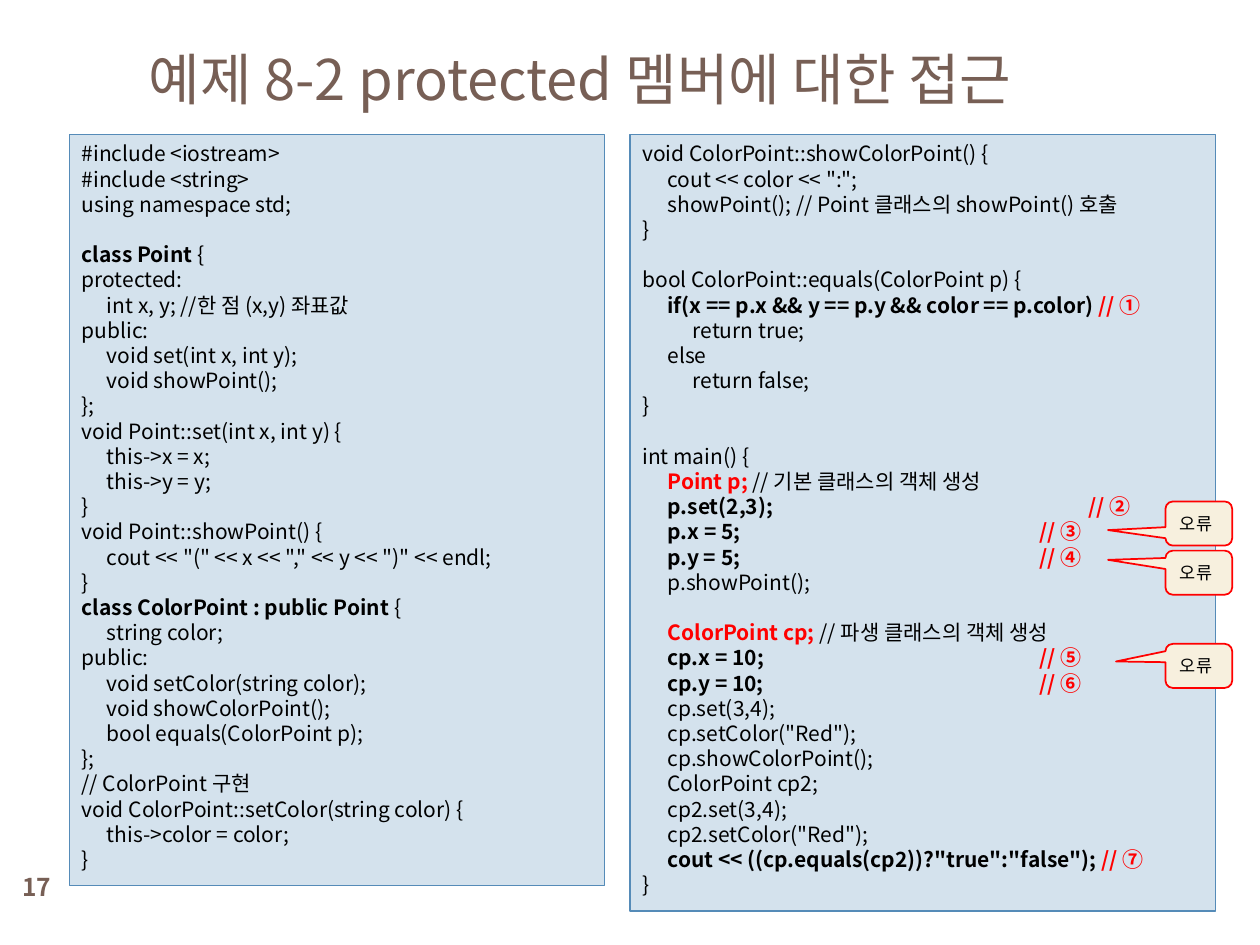
"""Build the code slide on access to protected members."""
from lxml.etree import SubElement
from pptx import Presentation
from pptx.dml.color import RGBColor
from pptx.enum.shapes import MSO_SHAPE
from pptx.enum.text import MSO_ANCHOR, MSO_AUTO_SIZE, PP_ALIGN
from pptx.oxml.ns import qn
from pptx.util import Inches, Pt

FONT = "Noto Sans CJK KR"
COLORS = {"brown": "775F55", "panel": "D4E2ED", "edge": "558BB8",
          "cream": "F7F0DE", "red": "FF0000", "black": "000000"}
STYLES = {"plain": (False, "black"), "bold": (True, "black"), "red": (True, "red")}
LINE = 14.4
INDENTS = (0.2, 0.4)
MARK, FAR_MARK = 3.15, 3.54

TITLE = "예제 8-2 protected 멤버에 대한 접근"
PAGE = "17"
LEFT_CODE = [
    ["#include <iostream>", "#include <string>", "using namespace std;"],
    [[("class Point ", "bold"), ("{", "plain")],
     "protected:",
     "\tint x, y; //한 점 (x,y) 좌표값",
     "public:",
     "\tvoid set(int x, int y);",
     "\tvoid showPoint();",
     "};",
     "void Point::set(int x, int y) {",
     "\tthis->x = x;",
     "\tthis->y = y;",
     "}",
     "void Point::showPoint() {",
     '\tcout << "(" << x << "," << y << ")" << endl;',
     "}",
     [("class ColorPoint : public Point ", "bold"), ("{", "plain")],
     "\tstring color;",
     "public:",
     "\tvoid setColor(string color);",
     "\tvoid showColorPoint();",
     "\tbool equals(ColorPoint p);",
     "};",
     "// ColorPoint 구현",
     "void ColorPoint::setColor(string color) {",
     "\tthis->color = color;",
     "}"],
]
RIGHT_CODE = [
    ["void ColorPoint::showColorPoint() {",
     '\tcout << color << ":";',
     "\tshowPoint(); // Point 클래스의 showPoint() 호출",
     "}"],
    ["bool ColorPoint::equals(ColorPoint p) {",
     [("\tif(x == p.x && y == p.y && color == p.color) ", "bold"), ("// ①", "red")],
     "\t\treturn true;",
     "\telse",
     "\t\treturn false;",
     "}"],
    ["int main() {",
     [("\tPoint p; ", "red"), ("// 기본 클래스의 객체 생성", "plain")],
     [("\tp.set(2,3);\t", "bold"), ("// ②", "red")],
     [("\tp.x = 5;\t", "bold"), ("// ③", "red")],
     [("\tp.y = 5;\t", "bold"), ("// ④", "red")],
     "\tp.showPoint();"],
    [[("\tColorPoint cp; ", "red"), ("// 파생 클래스의 객체 생성", "plain")],
     [("\tcp.x = 10;\t", "bold"), ("// ⑤", "red")],
     [("\tcp.y = 10;\t", "bold"), ("// ⑥", "red")],
     "\tcp.set(3,4);",
     '\tcp.setColor("Red");',
     "\tcp.showColorPoint();",
     "\tColorPoint cp2;",
     "\tcp2.set(3,4);",
     '\tcp2.setColor("Red");',
     [('\tcout << ((cp.equals(cp2))?"true":"false"); ', "bold"), ("// ⑦", "red")],
     "}"],
]
PANELS = [((0.55, 1.07, 4.25, 5.96), LEFT_CODE), ((5, 1.07, 4.65, 6.16), RIGHT_CODE)]
ERROR = "오류"
CALLOUTS = [(3.98, -1.36, 0.15), (5.11, -1.24, -0.1), (4.37, -1.36, -0.29)]


def rgb(name):
    return RGBColor.from_string(COLORS[name])


def add_run(p, text, size, color, bold=False):
    r = p.add_run()
    r.text = text
    r.font.size, r.font.bold, r.font.name = Pt(size), bold, FONT
    r.font.color.rgb = rgb(color)
    SubElement(r._r.get_or_add_rPr(), qn("a:ea"), typeface=FONT)


def add_box(s, kind, box, fill, line, width):
    sp = s.shapes.add_shape(kind, *map(Inches, box))
    sp.shadow.inherit = False
    sp.fill.solid()
    sp.fill.fore_color.rgb = rgb(fill)
    sp.line.color.rgb = rgb(line)
    sp.line.width = Pt(width)
    sp.text_frame.word_wrap = True
    return sp


def add_tabs(p, stops):
    tabs = SubElement(p._p.get_or_add_pPr(), qn("a:tabLst"))
    for stop in stops:
        SubElement(tabs, qn("a:tab"), pos=str(Inches(stop)), algn="l")


def add_code(tf, blocks):
    p = tf.paragraphs[0]
    for b, block in enumerate(blocks):
        for i, line in enumerate(block):
            if b or i:
                p = tf.add_paragraph()
            runs = [(line, "plain")] if isinstance(line, str) else line
            mark = FAR_MARK if "p.set(2,3)" in runs[0][0] else MARK
            add_tabs(p, (*INDENTS, mark))
            p.alignment = PP_ALIGN.LEFT
            p.line_spacing = Pt(LINE)
            if b and i == 0:
                p.space_before = Pt(LINE)
            for text, style in runs:
                bold, color = STYLES[style]
                add_run(p, text, 12, color, bold)


def main():
    prs = Presentation()
    prs.slide_width, prs.slide_height = Inches(10), Inches(7.5)
    s = prs.slides.add_slide(prs.slide_layouts[5])

    title = s.shapes.title
    title.left, title.top, title.width, title.height = map(Inches, (1.08, 0.25, 8.92, 0.74))
    page = s.shapes.add_textbox(*map(Inches, (0, 6.83, 0.58, 0.42)))
    for sp, text, size, align, bold in ((title, TITLE, 32, PP_ALIGN.LEFT, False),
                                        (page, PAGE, 14, PP_ALIGN.CENTER, True)):
        tf = sp.text_frame
        tf.word_wrap, tf.auto_size = True, MSO_AUTO_SIZE.NONE
        tf.vertical_anchor = MSO_ANCHOR.MIDDLE
        tf.paragraphs[0].alignment = align
        add_run(tf.paragraphs[0], text, size, "brown", bold)

    for box, blocks in PANELS:
        sp = add_box(s, MSO_SHAPE.RECTANGLE, box, "panel", "edge", 0.75)
        sp.text_frame.vertical_anchor = MSO_ANCHOR.TOP
        add_code(sp.text_frame, blocks)

    for top, dx, dy in CALLOUTS:
        sp = add_box(s, MSO_SHAPE.ROUNDED_RECTANGULAR_CALLOUT, (9.25, top, 0.53, 0.35),
                     "cream", "red", 1)
        sp.adjustments[0], sp.adjustments[1] = dx, dy
        sp.text_frame.vertical_anchor = MSO_ANCHOR.MIDDLE
        p = sp.text_frame.paragraphs[0]
        p.alignment = PP_ALIGN.LEFT
        add_run(p, ERROR, 10, "black")

    prs.save("out.pptx")


if __name__ == "__main__":
    main()
